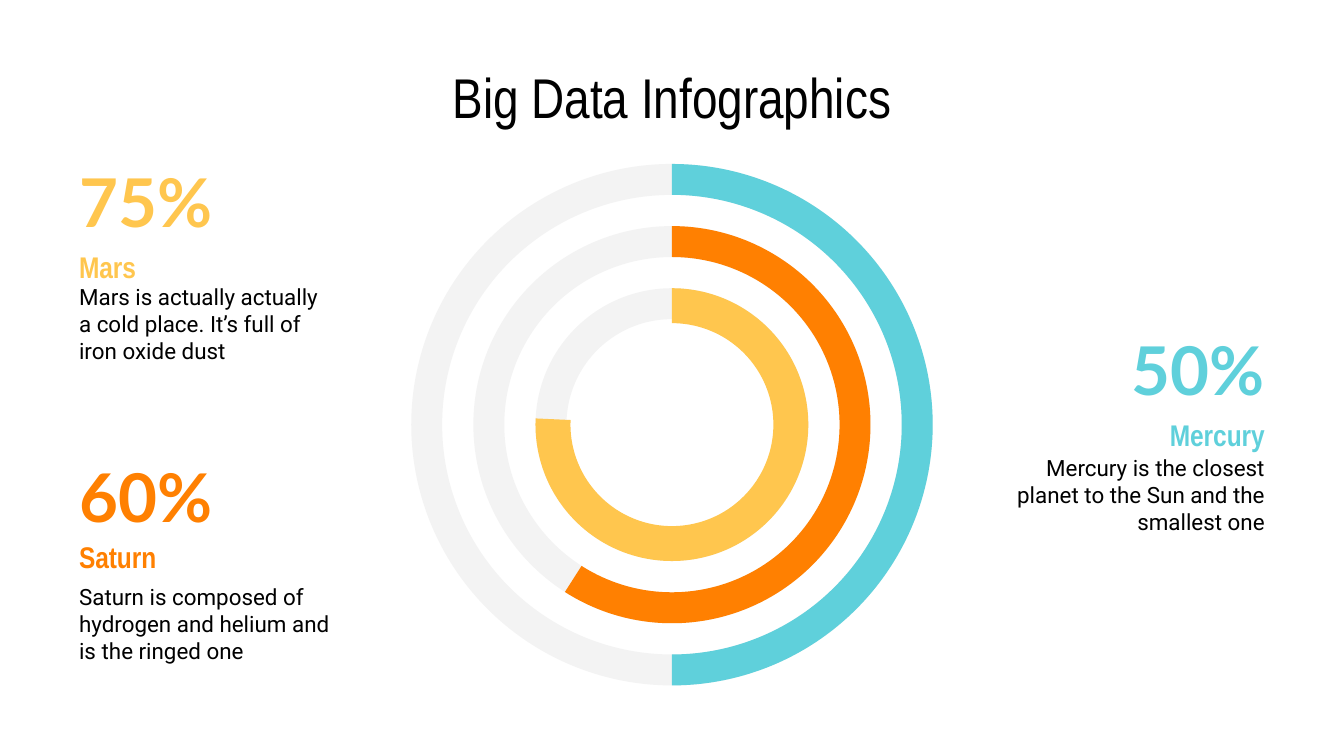
from dataclasses import dataclass

from pptx import Presentation
from pptx.dml.color import RGBColor
from pptx.enum.shapes import MSO_SHAPE
from pptx.enum.text import MSO_ANCHOR, PP_ALIGN
from pptx.util import Inches, Pt


@dataclass(frozen=True)
class Theme:
    ink: str = "000000"
    track: str = "F3F3F3"
    aqua: str = "5FD0DB"
    orange: str = "FF8001"
    yellow: str = "FFC64E"
    heading_font: str = "Arial Narrow"
    figure_font: str = "Lato"
    body_font: str = "Roboto"
    title_size: int = 30
    figure_size: int = 36
    name_size: int = 16
    body_size: int = 12


THEME = Theme()
WIDTH = 10
HEIGHT = WIDTH * 9 / 16
MARGIN = 0.49
LABEL_WIDTH, BODY_WIDTH = 1.43, 2.08
FIGURE_HEIGHT, NAME_HEIGHT = 0.63, 0.42
INSET = 0.1

TITLE = "Big Data Infographics"

# figure, name, description, colour, alignment, (top, height) of the description,
# top of the figure, top of the name
PLANETS = [
    ("75%", "Mars", "Mars is actually actually a cold place. It’s full of iron oxide dust",
     THEME.yellow, PP_ALIGN.LEFT, (2.04, 0.74), 1, 1.71),
    ("60%", "Saturn", "Saturn is composed of hydrogen and helium and is the ringed one",
     THEME.orange, PP_ALIGN.LEFT, (4.25, 0.78), 3.2, 3.87),
    ("50%", "Mercury", "Mercury is the closest planet to the Sun and the smallest one",
     THEME.aqua, PP_ALIGN.RIGHT, (3.29, 0.78), 2.25, 2.96),
]

# colour, sweep in degrees, arc thickness; from the outermost ring inwards
RINGS = [
    (THEME.aqua, 180, 0.23),
    (THEME.orange, 212.6, 0.23),
    (THEME.yellow, 272.6, 0.26),
]
RING_CENTRE = (WIDTH / 2, 3.16)
OUTER_DIAMETER, DIAMETER_STEP = 3.88, 0.925
TRACK_THICKNESS = 0.23
TOP_ANGLE = 270
ADJUSTMENT_PER_DEGREE = 0.6


def style(paragraph, font_name, size, colour, align, bold=False):
    paragraph.alignment = align
    font = paragraph.font
    font.name, font.size, font.bold = font_name, Pt(size), bold
    font.color.rgb = RGBColor.from_string(colour)


def prepare_frame(frame, anchor):
    frame.word_wrap = True
    frame.vertical_anchor = anchor
    frame.margin_left = frame.margin_right = Inches(INSET)
    frame.margin_top = frame.margin_bottom = Inches(INSET)


def add_text(slide, text, top, width, height, align, anchor=MSO_ANCHOR.TOP):
    """Place a text box against the margin that its alignment points to."""
    left = MARGIN if align == PP_ALIGN.LEFT else WIDTH - MARGIN - width
    frame = slide.shapes.add_textbox(
        Inches(left), Inches(top), Inches(width), Inches(height)).text_frame
    prepare_frame(frame, anchor)
    paragraph = frame.paragraphs[0]
    paragraph.text = text
    return paragraph


def add_planet(slide, figure, name, description, colour, align,
               body_span, figure_top, name_top):
    body = add_text(slide, description, body_span[0], BODY_WIDTH, body_span[1],
                    align, MSO_ANCHOR.MIDDLE)
    style(body, THEME.body_font, THEME.body_size, THEME.ink, align)
    labels = [
        (figure, figure_top, FIGURE_HEIGHT, THEME.figure_font, THEME.figure_size),
        (name, name_top, NAME_HEIGHT, THEME.heading_font, THEME.name_size),
    ]
    for text, top, height, font_name, size in labels:
        label = add_text(slide, text, top, LABEL_WIDTH, height, align)
        label.line_spacing = 1.15
        label.space_after = Pt(16)
        style(label, font_name, size, colour, align, bold=True)


def add_ring(slide, preset, diameter, colour, adjustments):
    x, y = RING_CENTRE
    ring = slide.shapes.add_shape(
        preset, Inches(x - diameter / 2), Inches(y - diameter / 2),
        Inches(diameter), Inches(diameter))
    for index, value in enumerate(adjustments):
        ring.adjustments[index] = value
    ring.shadow.inherit = False
    ring.fill.solid()
    ring.fill.fore_color.rgb = RGBColor.from_string(colour)
    ring.line.fill.background()


def add_title(slide):
    title = slide.shapes.title
    title.left, title.top = Inches(0.5), Inches(0.45)
    title.width, title.height = Inches(WIDTH - 1), Inches(0.53)
    prepare_frame(title.text_frame, MSO_ANCHOR.MIDDLE)
    title.text_frame.text = TITLE
    style(title.text_frame.paragraphs[0], THEME.heading_font, THEME.title_size,
          THEME.ink, PP_ALIGN.CENTER)


def main():
    deck = Presentation()
    deck.slide_width, deck.slide_height = Inches(WIDTH), Inches(HEIGHT)
    slide = deck.slides.add_slide(deck.slide_layouts[5])
    add_title(slide)

    diameters = [OUTER_DIAMETER - i * DIAMETER_STEP for i in range(len(RINGS))]
    for diameter in diameters:
        add_ring(slide, MSO_SHAPE.DONUT, diameter, THEME.track,
                 [TRACK_THICKNESS / diameter])
    for planet in PLANETS:
        add_planet(slide, *planet)
    for diameter, (colour, sweep, thickness) in zip(diameters, RINGS):
        end_angle = (TOP_ANGLE + sweep) % 360
        add_ring(slide, MSO_SHAPE.BLOCK_ARC, diameter, colour,
                 [TOP_ANGLE * ADJUSTMENT_PER_DEGREE,
                  end_angle * ADJUSTMENT_PER_DEGREE, thickness / diameter])

    deck.save("out.pptx")


if __name__ == "__main__":
    main()
